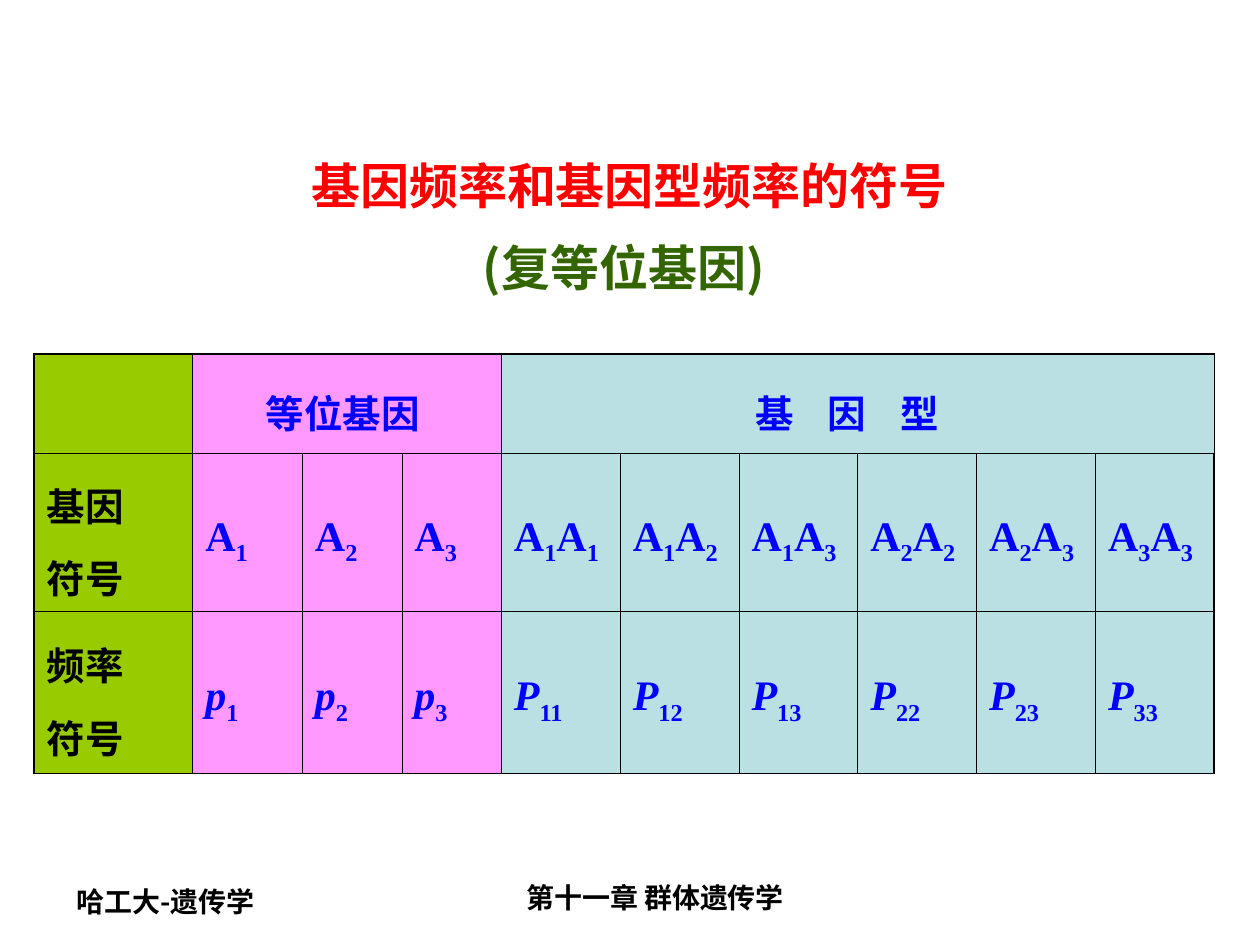
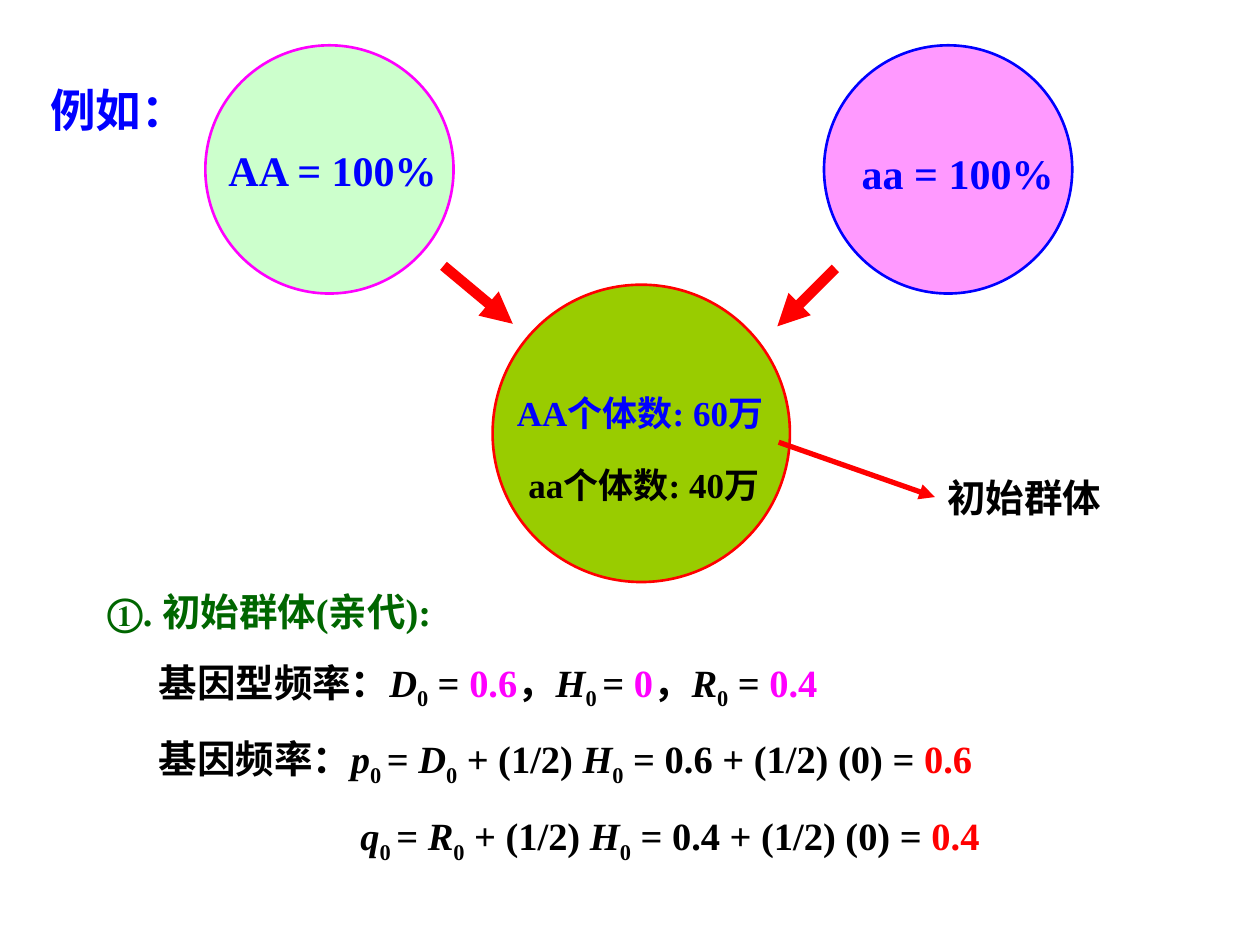
from dataclasses import dataclass
from itertools import combinations_with_replacement

from lxml.etree import SubElement
from pptx import Presentation
from pptx.dml.color import RGBColor
from pptx.enum.shapes import MSO_CONNECTOR, MSO_SHAPE
from pptx.enum.text import MSO_ANCHOR, MSO_AUTO_SIZE, PP_ALIGN
from pptx.oxml.ns import qn
from pptx.util import Inches, Pt

GRID_COLUMNS, GRID_ROWS = 100, 75
TITLE_AND_CONTENT, TITLE_ONLY = 1, 5


@dataclass(frozen=True)
class Theme:
    black: str = "000000"
    red: str = "FF0000"
    blue: str = "0000FF"
    magenta: str = "FF00FF"
    dark_green: str = "006600"
    olive: str = "336600"
    lime: str = "99CC00"
    mint: str = "CCFFCC"
    pink: str = "FF99FF"
    pale_blue: str = "BBE0E3"
    serif: str = "Times New Roman"
    sans: str = "Arial"
    chinese: str = "Noto Sans CJK SC"
    footer_size: int = 16
    count_size: int = 20
    text_size: int = 22
    symbol_size: int = 24
    example_size: int = 26
    title_size: int = 28
    outline: float = 1.5
    inner_border: float = 0.45
    outer_border: float = 1.08


THEME = Theme()


def set_values(target, values):
    for name, value in values.items():
        setattr(target, name, value)


def split_marks(text):
    """Yield (piece, subscript, italic, accent); ~ * ^ switch these on and off."""
    for lowered, outer in enumerate(text.split("~")):
        for slanted, middle in enumerate(outer.split("*")):
            for accented, piece in enumerate(middle.split("^")):
                if piece:
                    yield piece, lowered % 2, slanted % 2, accented % 2


class Deck:
    def __init__(self, theme):
        self.theme = theme
        self.presentation = Presentation()
        set_values(self.presentation, {"slide_width": Inches(10), "slide_height": Inches(7.5)})
        self.column = self.presentation.slide_width / GRID_COLUMNS
        self.row = self.presentation.slide_height / GRID_ROWS
        self.slide = None

    def add_slide(self, layout):
        self.slide = self.presentation.slides.add_slide(self.presentation.slide_layouts[layout])

    def box(self, left, top, width, height):
        """Turn grid columns and rows into slide lengths."""
        return (round(left * self.column), round(top * self.row),
                round(width * self.column), round(height * self.row))

    def place(self, shape, grid):
        set_values(shape, dict(zip(("left", "top", "width", "height"), self.box(*grid))))

    def add_text(self, paragraph, text, size, color, font=None, accent=None,
                 align=PP_ALIGN.LEFT, line_spacing=1.0, space_before=0, tracking=None):
        set_values(paragraph, {"alignment": align, "line_spacing": line_spacing,
                               "space_before": Pt(space_before), "space_after": Pt(0)})
        for piece, lowered, slanted, accented in split_marks(text):
            run = paragraph.add_run()
            run.text = piece
            set_values(run.font, {"size": Pt(size), "bold": True, "italic": bool(slanted),
                                  "name": font or self.theme.serif})
            run.font.color.rgb = RGBColor.from_string(accent if accented else color)
            properties = run.font._element
            SubElement(properties, qn("a:ea")).set("typeface", self.theme.chinese)
            if lowered:
                properties.set("baseline", "-25000")
            if tracking:
                properties.set("spc", str(tracking))

    def title(self, grid, lines, **style):
        """Fill the title placeholder with (text, colour) lines of one paragraph."""
        title = self.slide.shapes.title
        self.place(title, grid)
        set_values(title.text_frame, {"auto_size": MSO_AUTO_SIZE.NONE,
                                      "vertical_anchor": MSO_ANCHOR.MIDDLE})
        paragraph = title.text_frame.paragraphs[0]
        for number, (text, color) in enumerate(lines):
            if number:
                paragraph.add_line_break()
            self.add_text(paragraph, text, color=color, align=PP_ALIGN.CENTER, **style)

    def body(self, grid, items, space_before):
        """Fill the body placeholder with (text, indent in columns, colour, accent) items."""
        body = self.slide.placeholders[1]
        self.place(body, grid)
        frame = body.text_frame
        frame.auto_size = MSO_AUTO_SIZE.NONE
        for number, (text, indent, color, accent) in enumerate(items):
            paragraph = frame.add_paragraph() if number else frame.paragraphs[0]
            properties = paragraph._p.get_or_add_pPr()
            properties.set("marL", str(round(indent * self.column)))
            properties.set("indent", "0")
            SubElement(properties, qn("a:buNone"))
            self.add_text(paragraph, text, self.theme.text_size, color, accent=accent,
                          space_before=space_before if number else 0)

    def label(self, grid, text, size, color, wrap=True, align=PP_ALIGN.CENTER, **style):
        label = self.slide.shapes.add_textbox(*self.box(*grid))
        set_values(label.text_frame, {"word_wrap": wrap, "auto_size": MSO_AUTO_SIZE.NONE})
        self.add_text(label.text_frame.paragraphs[0], text, size, color, align=align, **style)
        return label

    def footers(self):
        theme = self.theme
        self.label((5.1, 69.7, 23.3, 3.9), "哈工大-遗传学", theme.footer_size, theme.black,
                   font=theme.chinese, align=PP_ALIGN.LEFT)
        self.label((33.5, 69.4, 37, 3.9), "第十一章 群体遗传学", theme.footer_size, theme.black,
                   font=theme.sans)

    def circle(self, left, top, diameter, fill, line):
        circle = self.slide.shapes.add_shape(MSO_SHAPE.OVAL,
                                             *self.box(left, top, diameter, diameter))
        circle.shadow.inherit = False
        circle.fill.solid()
        circle.fill.fore_color.rgb = RGBColor.from_string(fill)
        circle.line.color.rgb = RGBColor.from_string(line)
        circle.line.width = Pt(self.theme.outline)

    def arrow(self, start, end, width, target=None):
        """Draw a red arrow; a target shape is joined at its left side."""
        arrow = self.slide.shapes.add_connector(MSO_CONNECTOR.STRAIGHT, *self.box(*start, *end))
        if target is not None:
            arrow.end_connect(target, 1)
        arrow.line.color.rgb = RGBColor.from_string(self.theme.red)
        arrow.line.width = Pt(width)
        SubElement(arrow.line._get_or_add_ln(), qn("a:tailEnd")).set("type", "triangle")
        SubElement(arrow._element.spPr, qn("a:effectLst"))

    def table(self, left, top, widths, heights):
        shape = self.slide.shapes.add_table(
            len(heights), len(widths), *self.box(left, top, sum(widths), sum(heights)))
        table = shape.table
        set_values(table, {"first_row": False, "horz_banding": False})
        for column, width in zip(table.columns, widths):
            column.width = round(width * self.column)
        for row, height in zip(table.rows, heights):
            row.height = round(height * self.row)
        return table

    def style_cell(self, cell, fill, outer_sides):
        properties = cell._tc.get_or_add_tcPr()
        for side in "LRTB":
            width = self.theme.outer_border if side in outer_sides else self.theme.inner_border
            border = SubElement(properties, qn(f"a:ln{side}"))
            border.set("w", str(int(Pt(width))))
            SubElement(SubElement(border, qn("a:solidFill")),
                       qn("a:srgbClr")).set("val", self.theme.black)
        cell.fill.solid()
        cell.fill.fore_color.rgb = RGBColor.from_string(fill)
        cell.vertical_anchor = MSO_ANCHOR.MIDDLE

    def fill_cell(self, cell, text, size, color, **style):
        frame = cell.text_frame
        for number, line in enumerate(text.split("\n")):
            paragraph = frame.add_paragraph() if number else frame.paragraphs[0]
            self.add_text(paragraph, line, size, color, line_spacing=1.3, **style)


def build_symbol_slide(deck):
    theme = deck.theme
    deck.add_slide(TITLE_ONLY)
    deck.footers()
    deck.title((16.9, 9.9, 66.1, 14.2),
               [("基因频率和基因型频率的符号", theme.red), ("(复等位基因) ", theme.olive)],
               size=theme.title_size, font=theme.chinese, line_spacing=1.4)

    alleles = "123"
    genotypes = list(combinations_with_replacement(alleles, 2))
    gene_symbols = [f"A~{a}~" for a in alleles] + [f"A~{a}~A~{b}~" for a, b in genotypes]
    frequencies = [f"*p*~{a}~" for a in alleles] + [f"*P*~{a}{b}~" for a, b in genotypes]
    fills = [theme.lime] + [theme.pink] * len(alleles) + [theme.pale_blue] * len(genotypes)
    table = deck.table(2.7, 28.1, [12.6, 8.7, 7.9, 7.9] + [9.43] * len(genotypes),
                       [7.9, 10.6, 12.9])

    last_row, last_column = len(table.rows) - 1, len(table.columns) - 1
    for row in range(last_row + 1):
        for column, fill in enumerate(fills):
            edges = {"L": column == 0, "R": column == last_column,
                     "T": row == 0, "B": row == last_row}
            deck.style_cell(table.cell(row, column), fill,
                            [side for side, outer in edges.items() if outer])

    first_genotype = 1 + len(alleles)
    for text, first, last, tracking in [("等位基因 ", 1, first_genotype - 1, None),
                                        ("基 因 型 ", first_genotype, last_column, 730)]:
        table.cell(0, first).merge(table.cell(0, last))
        deck.fill_cell(table.cell(0, first), text, theme.text_size, theme.blue,
                       align=PP_ALIGN.CENTER, tracking=tracking)
    rows = [("基因\n符号", gene_symbols), ("频率\n符号", frequencies)]
    for row, (heading, symbols) in enumerate(rows, 1):
        deck.fill_cell(table.cell(row, 0), heading, theme.text_size, theme.black)
        for column, symbol in enumerate(symbols, 1):
            deck.fill_cell(table.cell(row, column), symbol, theme.symbol_size, theme.blue)


def build_example_slide(deck):
    theme = deck.theme
    deck.add_slide(TITLE_AND_CONTENT)
    deck.title((2.7, 6, 13.4, 5.4), [("例如：", theme.blue)],
               size=theme.example_size, font=theme.sans)
    deck.body((7.5, 46.2, 85.8, 22.9), [
        ("①. 初始群体(亲代):", 0, theme.dark_green, None),
        ("基因型频率：*D*~0~ = ^0.6^，*H*~0 ~= ^0^，*R*~0~ = ^0.4^",
         4.1, theme.black, theme.magenta),
        ("基因频率：*p*~0 ~= *D*~0~ + (1/2) *H*~0~ = 0.6 + (1/2) (0) = ^0.6^",
         4.1, theme.black, theme.red),
        ("*q*~0 ~= *R*~0~ + (1/2) *H*~0~ = 0.4 + (1/2) (0) = ^0.4^",
         20.1, theme.black, theme.red),
    ], space_before=13.8)

    for left, top, diameter, fill, line in [
            (16.3, 3.6, 19.7, theme.mint, theme.magenta),
            (65.4, 3.6, 19.7, theme.pink, theme.blue),
            (39.1, 22.6, 23.6, theme.lime, theme.red)]:
        deck.circle(left, top, diameter, fill, line)
    for left, top, text, size, color in [
            (14.6, 11, "AA = 100%", theme.symbol_size, theme.blue),
            (64.2, 11.2, "aa = 100%", theme.symbol_size, theme.blue),
            (39, 30.6, "AA个体数: 60万", theme.count_size, theme.blue),
            (39.3, 36.3, "aa个体数: 40万", theme.count_size, theme.black)]:
        deck.label((left, top, 23.6, 5), text, size, color)

    initial_population = deck.label((74.2, 37.1, 14.2, 4.7), "初始群体", theme.text_size,
                                    theme.black, wrap=False)
    deck.arrow((35.2, 21.1), (40.7, 25.7), 6)
    deck.arrow((66.3, 21.3), (61.7, 25.9), 6)
    deck.arrow((61.8, 35.1), (74.2, 39.45), 3, target=initial_population)


def main():
    deck = Deck(THEME)
    build_symbol_slide(deck)
    build_example_slide(deck)
    deck.presentation.save("out.pptx")


if __name__ == "__main__":
    main()
